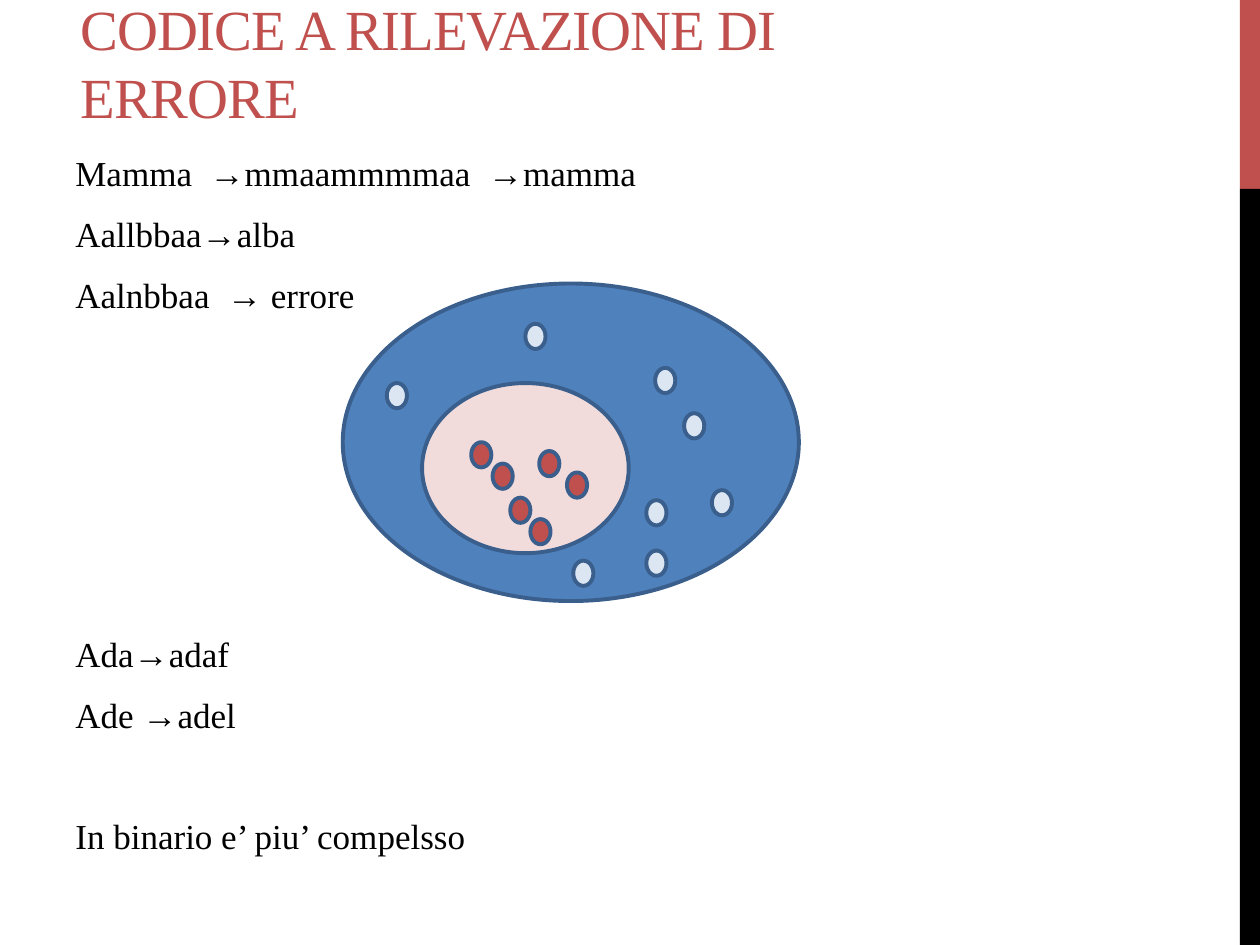
from pptx import Presentation
from pptx.dml.color import RGBColor
from pptx.enum.shapes import MSO_SHAPE
from pptx.enum.text import MSO_ANCHOR
from pptx.util import Inches, Pt

FONT = "Times New Roman"
RED, BLUE, OUTLINE, BLACK = "C0504D", "4F81BD", "3A5F8C", "000000"
PINK, PALE_BLUE = "F2DCDB", "DCE6F2"
WIDTH, HEIGHT = 10, 7.5
LINE_PITCH = 34  # points from one body line to the next

# Each body line with the number of line pitches left free above it
EXAMPLES = [
    ("Mamma  →mmaammmmaa  →mamma", 0),
    ("Aallbbaa→alba", 0),
    ("Aalnbbaa  → errore", 0),
    ("Ada→adaf", 5),
    ("Ade →adel", 0),
    ("In binario e’ piu’ compelsso", 1),
]
# Dot positions, in inches from the corner of the outer set
VALID_WORDS = [(1.02, 1.26), (1.19, 1.43), (1.33, 1.7),
               (1.56, 1.33), (1.78, 1.5), (1.49, 1.87)]
INVALID_WORDS = [(1.83, 2.2), (2.41, 1.72), (2.93, 1.64), (2.41, 2.12),
                 (1.45, 0.32), (0.35, 0.79), (2.48, 0.67), (2.71, 1.03)]


def rgb(value):
    return RGBColor.from_string(value)


def add_filled(slide, kind, box, fill, outline=None):
    shape = slide.shapes.add_shape(kind, *map(Inches, box))
    shape.shadow.inherit = False
    shape.fill.solid()
    shape.fill.fore_color.rgb = rgb(fill)
    if outline:
        shape.line.color.rgb = rgb(outline)
        shape.line.width = Pt(2.25)
    else:
        shape.line.fill.background()


def add_frame(slide, box):
    frame = slide.shapes.add_textbox(*map(Inches, box)).text_frame
    frame.word_wrap = True
    return frame


def write(paragraph, text, size, color):
    paragraph.text = text
    paragraph.font.name = FONT
    paragraph.font.size = Pt(size)
    paragraph.font.color.rgb = rgb(color)


def add_side_bar(slide, left, top, width, height):
    accent = height / 5
    add_filled(slide, MSO_SHAPE.RECTANGLE, (left, top, width, accent), RED)
    add_filled(slide, MSO_SHAPE.RECTANGLE,
               (left, top + accent, width, height - accent), BLACK)


def add_title(slide, *box):
    frame = add_frame(slide, box)
    frame.vertical_anchor = MSO_ANCHOR.BOTTOM
    title = frame.paragraphs[0]
    write(title, "CODICE A RILEVAZIONE DI ERRORE", 32.4, RED)
    title.runs[0].font._element.set("spc", "-60")


def add_examples(slide, *box):
    frame = add_frame(slide, box)
    for index, (text, free_lines) in enumerate(EXAMPLES):
        line = frame.add_paragraph() if index else frame.paragraphs[0]
        write(line, text, 20, BLACK)
        line.space_before = Pt(5 + free_lines * LINE_PITCH)
        line.space_after = Pt(6)


def add_code_sets(slide, left, top, width, height):
    """Draw the set of all words, the valid subset and the words as dots."""
    def add_oval(x, y, w, h, fill):
        add_filled(slide, MSO_SHAPE.OVAL, (left + x, top + y, w, h), fill, OUTLINE)

    add_oval(0, 0, width, height, BLUE)
    add_oval(0.63, 0.79, 1.64, 1.35, PINK)
    for words, fill in ((VALID_WORDS, RED), (INVALID_WORDS, PALE_BLUE)):
        for x, y in words:
            add_oval(x, y, 0.16, 0.2, fill)


def main():
    deck = Presentation()
    deck.slide_width, deck.slide_height = Inches(WIDTH), Inches(HEIGHT)
    slide = deck.slides.add_slide(deck.slide_layouts[6])
    add_side_bar(slide, WIDTH - 0.16, 0, 0.16, HEIGHT)
    add_title(slide, 0.54, 0.25, 7.02, 0.83)
    add_examples(slide, 0.5, 1.15, 8.83, 6.14)
    add_code_sets(slide, 2.72, 2.25, 3.62, 2.52)
    deck.save("out.pptx")


if __name__ == "__main__":
    main()
